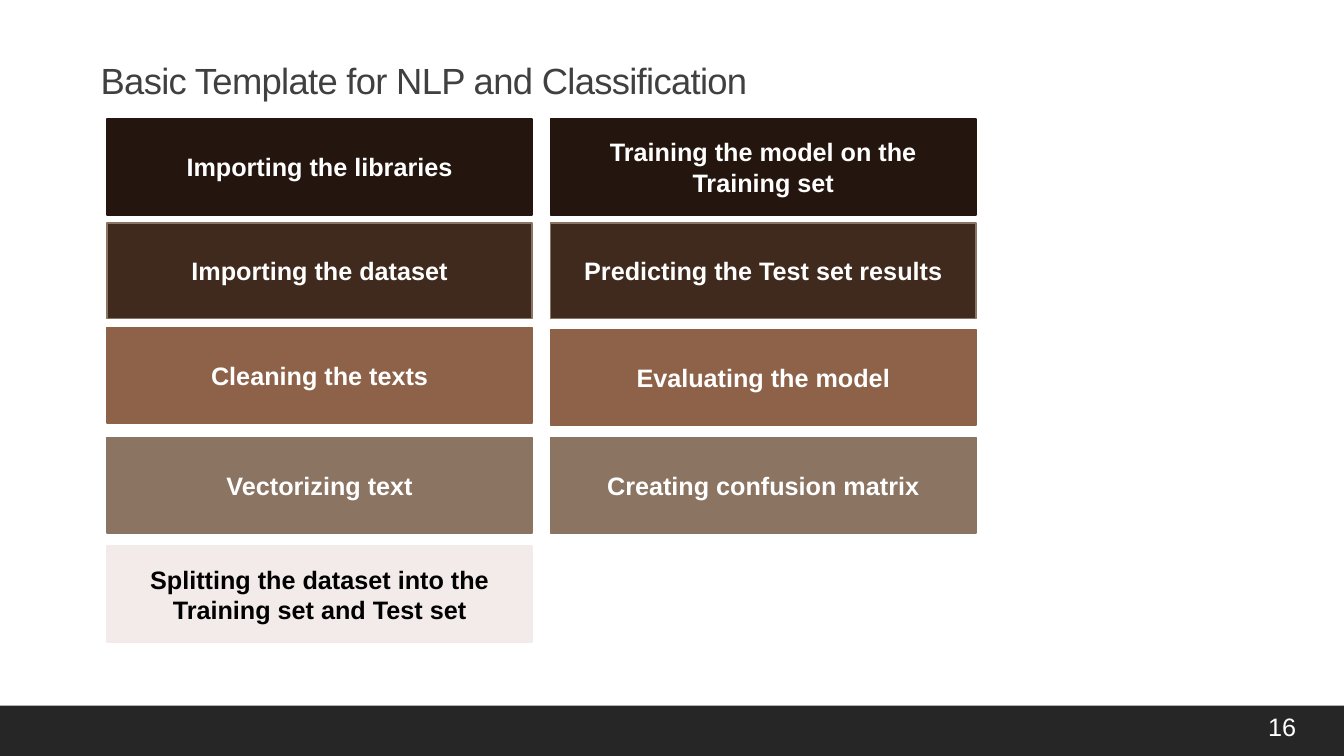
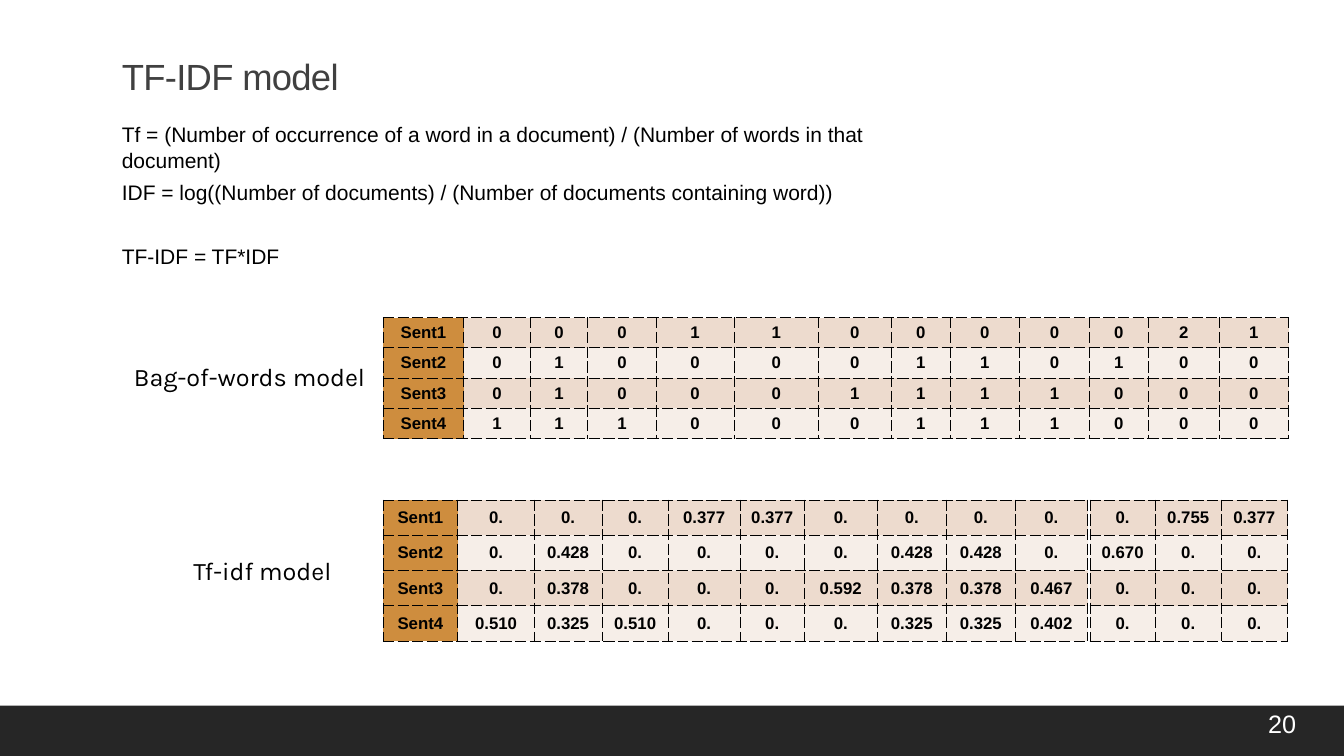
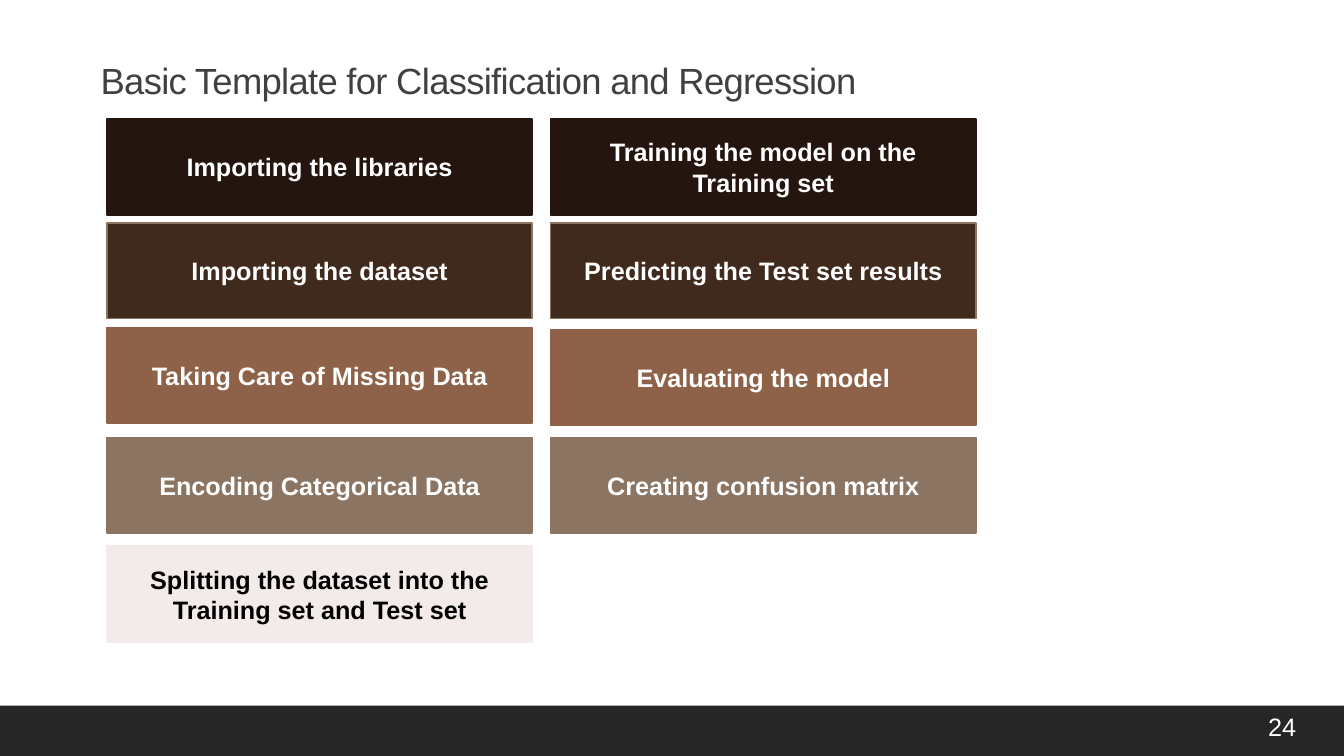
from dataclasses import dataclass
from pptx import Presentation
from pptx import util as u
from pptx.dml.color import RGBColor
from pptx.enum import shapes, text
from pptx.oxml import parse_xml
from pptx.oxml.ns import nsdecls


@dataclass(frozen=True)
class Theme:
    font: str = "Arial"
    label: str = "Karla"
    band: str = "262626"
    title: str = "404040"
    ink: str = "000000"
    white: str = "FFFFFF"
    head: str = "CE8D3E"
    rows: tuple = ("EDDBCE", "F6EEE8")
    steps: tuple = (
        ("24150E", "24150E", "FFFFFF"),
        ("3F2A1D", "8C7462", "FFFFFF"),
        ("8E6248", "8E6248", "FFFFFF"),
        ("8C7462", "8C7462", "FFFFFF"),
        ("F2EBE9", "F2EBE9", "000000"),
    )
    big: int = 26
    mid: int = 18
    body: int = 15
    small: int = 12


look = Theme()
deck = Presentation()
deck.slide_width = u.Inches(13.33)
deck.slide_height = u.Inches(7.5)


def write(frame, words, size=look.mid, color=look.ink, font=look.font,
          bold=False, center=False, middle=False, after=0, track=0):
    frame.word_wrap = True
    if middle:
        frame.vertical_anchor = text.MSO_ANCHOR.MIDDLE
    for i, line in enumerate(words.split("\n")):
        para = frame.add_paragraph() if i else frame.paragraphs[0]
        para.alignment = text.PP_ALIGN.CENTER if center else text.PP_ALIGN.LEFT
        para.space_after = u.Pt(after)
        run = para.add_run()
        run.text = line
        run.font.size = u.Pt(size)
        run.font.name = font
        run.font.bold = bold
        run.font.color.rgb = RGBColor.from_string(color)
        if track:
            run.font._element.set("spc", str(int(track * 100)))
    return frame


def place(slide, x, y, w, h, fill=None, line=None):
    area = [u.Inches(n) for n in (x, y, w, h)]
    if fill is None:
        return slide.shapes.add_textbox(*area).text_frame
    box = slide.shapes.add_shape(shapes.MSO_SHAPE.RECTANGLE, *area)
    box.shadow.inherit = False
    box.fill.solid()
    box.fill.fore_color.rgb = RGBColor.from_string(fill)
    if line:
        box.line.color.rgb = RGBColor.from_string(line)
        box.line.width = u.Pt(1.25)
    else:
        box.line.fill.background()
    return box.text_frame


pages = [
    ("Basic Template for NLP and Classification", "16", 0.9, 0.53, 7.01),
    ("TF-IDF model", "20", 1.11, 0.49, 6.98),
    ("Basic Template for Classification and Regression", "24", 0.9, 0.53, 7.01),
]
slides = []
for title, num, left, top, foot in pages:
    slide = deck.slides.add_slide(deck.slide_layouts[6])
    place(slide, 0, 7, 13.33, 0.5, look.band)
    write(place(slide, left, top, 8.6, 0.54), title,
          size=look.big, color=look.title, track=-0.5)
    write(place(slide, 12.48, foot, 0.85, 0.4), num, color=look.white, middle=True)
    slides.append(slide)

first = ["Importing the libraries", "Importing the dataset"]
split = "Splitting the dataset into the Training set and Test set"
model = ["Training the model on the Training set", "Predicting the Test set results",
         "Evaluating the model", "Creating confusion matrix"]
preps = [
    (slides[0], ["Cleaning the texts", "Vectorizing text"]),
    (slides[2], ["Taking Care of Missing Data", "Encoding Categorical Data"]),
]
for slide, prep in preps:
    stacks = [
        (1.06, (1.18, 2.21, 3.25, 4.34, 5.42), first + prep + [split]),
        (5.46, (1.18, 2.21, 3.27, 4.34), model),
    ]
    for left, tops, names in stacks:
        for top, name, (fill, line, ink) in zip(tops, names, look.steps):
            write(place(slide, left, top, 4.22, 0.95, fill, line), name,
                  color=ink, bold=True, center=True, middle=True)

slide = slides[1]
rules = write(
    place(slide, 1.11, 1.16, 8.5, 1.57),
    "Tf = (Number of occurrence of a word in a document) / (Number of words in that document)\n"
    "IDF = log((Number of documents) / (Number of documents containing word))\n"
    "TF-IDF = TF*IDF",
    size=look.body, after=5)
rules.paragraphs[-1].space_before = u.Pt(23)

for left, top, name in [(1.23, 3.54, "Bag-of-words model"), (1.82, 5.46, "Tf-idf model")]:
    write(place(slide, left, top, 2.62, 0.4), name, font=look.label)

bag = """Sent1 0 0 0 1 1 0 0 0 0 0 2 1
Sent2 0 1 0 0 0 0 1 1 0 1 0 0
Sent3 0 1 0 0 0 1 1 1 1 0 0 0
Sent4 1 1 1 0 0 0 1 1 1 0 0 0"""
score = """Sent1 0. 0. 0. 0.377 0.377 0. 0. 0. 0. 0. 0.755 0.377
Sent2 0. 0.428 0. 0. 0. 0. 0.428 0.428 0. 0.670 0. 0.
Sent3 0. 0.378 0. 0. 0. 0.592 0.378 0.378 0.467 0. 0. 0.
Sent4 0.510 0.325 0.510 0. 0. 0. 0.325 0.325 0.402 0. 0. 0."""
bag, score = ([row.split() for row in data.split("\n")] for data in (bag, score))
cut = 10
grids = [
    (3.8, 3.15, 0.3, [row[:cut] for row in bag],
     (0.8, 0.66, 0.57, 0.68, 0.77, 0.84, 0.72, 0.59, 0.68, 0.7)),
    (10.8, 3.15, 0.3, [row[cut:] for row in bag], (0.59, 0.7, 0.69)),
    (3.8, 4.96, 0.35, [row[:cut] for row in score],
     (0.74, 0.76, 0.67, 0.66, 0.71, 0.64, 0.72, 0.69, 0.68, 0.72)),
    (10.81, 4.96, 0.35, [row[cut:] for row in score], (0.65, 0.65, 0.66)),
]
for left, top, high, data, wide in grids:
    grid = slide.shapes.add_table(
        len(data), len(wide), u.Inches(left), u.Inches(top),
        u.Inches(sum(wide)), u.Inches(high * len(data))).table
    grid.first_row = grid.horz_banding = False
    for col, size in zip(grid.columns, wide):
        col.width = u.Inches(size)
    for r, row in enumerate(data):
        grid.rows[r].height = u.Inches(high)
        for c, word in enumerate(row):
            cell = grid.cell(r, c)
            cell.vertical_anchor = text.MSO_ANCHOR.MIDDLE
            write(cell.text_frame, word, size=look.small, bold=True, center=True)
            for side in "LRTB":
                cell._tc.get_or_add_tcPr().append(parse_xml(
                    f'<a:ln{side} {nsdecls("a")} w="6350"><a:solidFill>'
                    f'<a:srgbClr val="{look.ink}"/></a:solidFill>'
                    f'<a:prstDash val="sysDash"/></a:ln{side}>'))
            fill = look.head if word.startswith("Sent") else look.rows[r % 2]
            cell.fill.solid()
            cell.fill.fore_color.rgb = RGBColor.from_string(fill)

deck.save("out.pptx")
